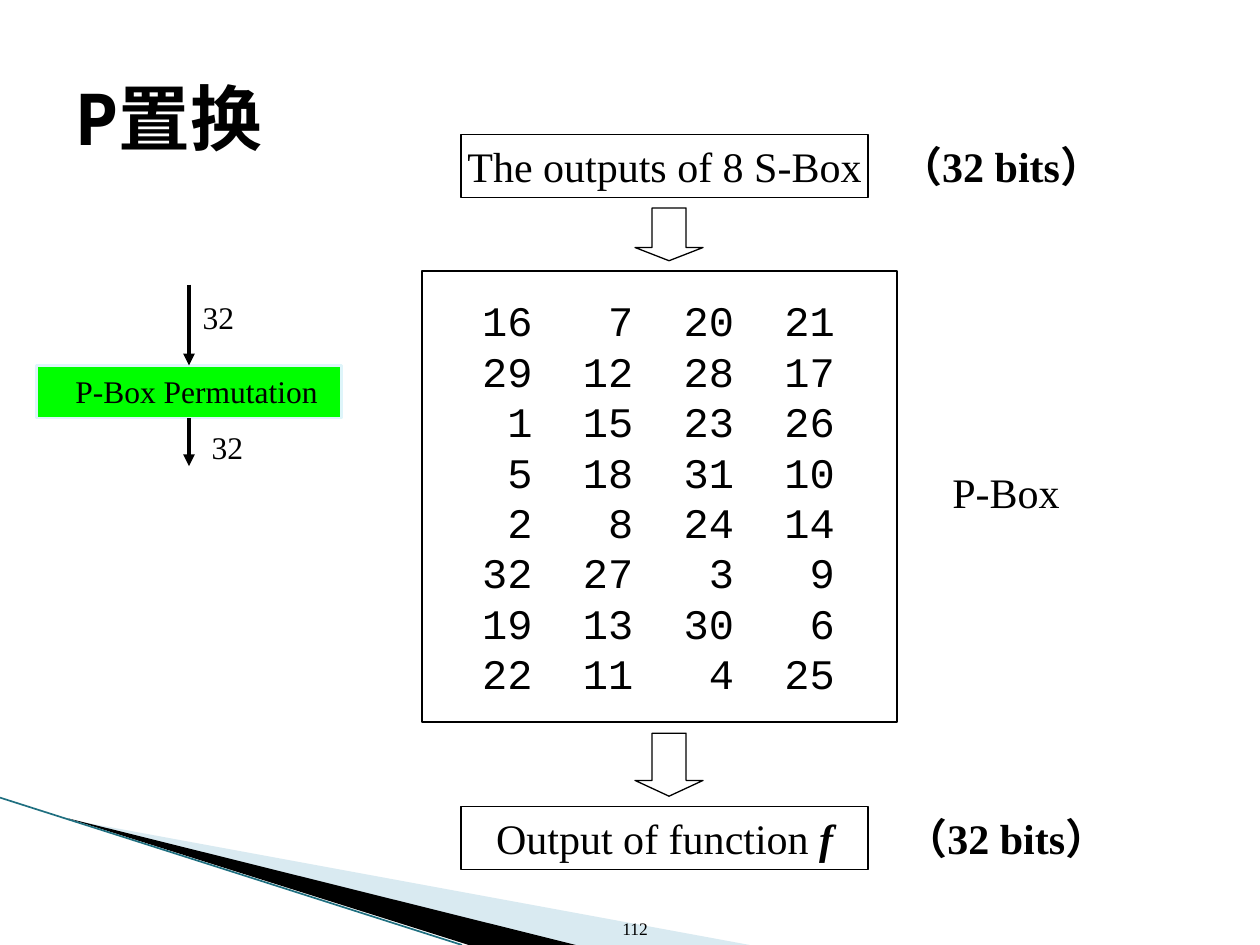
"""Builds the slide on the P-box permutation."""
from lxml import etree
from pptx import Presentation
from pptx.dml.color import RGBColor
from pptx.enum import shapes as kinds, text as modes
from pptx.oxml.ns import qn
from pptx.util import Pt

SERIF, MONO, TITLE = "Times New Roman", "Courier New", "Noto Sans Mono"
LEFT, MID, RIGHT = modes.PP_ALIGN.LEFT, modes.PP_ALIGN.CENTER, modes.PP_ALIGN.RIGHT
TOP, CENTRE, BASE = modes.MSO_ANCHOR.TOP, modes.MSO_ANCHOR.MIDDLE, modes.MSO_ANCHOR.BOTTOM
RECT, DOWN = kinds.MSO_SHAPE.RECTANGLE, kinds.MSO_SHAPE.DOWN_ARROW

GRID = [
    (16, 7, 20, 21), (29, 12, 28, 17), (1, 15, 23, 26), (5, 18, 31, 10),
    (2, 8, 24, 14), (32, 27, 3, 9), (19, 13, 30, 6), (22, 11, 4, 25),
]
TABS = [56 + 57.6 * col for col in range(4)]
WEDGES = [
    ([(39.6, 468.4), (428.4, 540), (328.3, 540)], "A0CBDC", 40),
    ([(38.2, 467.5), (329, 540), (267.8, 540)], "000000", 100),
]
STEPS = [
    ((263.5, 77, 232.6, 36), [("The outputs of 8 S-Box", False)]),
    ((263.5, 460.8, 232.6, 36), [("Output of function", False), (" f", True)]),
]
ARROWS = [(362.9, 118.8, 38.9, 30.2), (362.9, 419, 38.9, 36)]
BITS = [(506.9, 77, 130.3, 36), (509.8, 460.8, 130.3, 36)]
LABELS = [
    ("P-Box Permutation", (36, 208.8, 152.6, 28.8), 18),
    ("32", (108.7, 167, 32.4, 28.8), 18),
    ("32", (113.8, 241.2, 32.4, 28.8), 18),
    ("P-Box", (537.1, 262.8, 75.6, 36), 24),
]


def hue(code):
    return RGBColor.from_string(code)


def place(item, spot):
    item.left, item.top, item.width, item.height = map(Pt, spot)


def write(item, paras, size, font=SERIF, align=MID, anchor=CENTRE, wrap=False, tabs=()):
    frame = item.text_frame
    frame.word_wrap, frame.vertical_anchor = wrap, anchor
    frame.auto_size = modes.MSO_AUTO_SIZE.NONE
    for i, runs in enumerate(paras):
        para = frame.add_paragraph() if i else frame.paragraphs[0]
        para.alignment = align
        if tabs:
            stops = etree.SubElement(para._p.get_or_add_pPr(), qn("a:tabLst"))
            for stop in tabs:
                etree.SubElement(stops, qn("a:tab"), pos=str(Pt(stop)), algn="r")
        for words, bold, slant in runs:
            run = para.add_run()
            run.text = words
            run.font.name, run.font.size = font, Pt(size)
            run.font.bold, run.font.italic = bold, slant
            run.font.color.rgb = hue("000000")


def block(slide, kind, spot, fill="FFFFFF", line="000000", width=0.75):
    item = slide.shapes.add_shape(kind, *map(Pt, spot))
    item.shadow.inherit = False
    item.fill.solid()
    item.fill.fore_color.rgb = hue(fill)
    item.line.color.rgb, item.line.width = hue(line), Pt(width)
    return item


def label(slide, words, spot, size, bold=False, **style):
    item = slide.shapes.add_textbox(*map(Pt, spot))
    write(item, [[(words, bold, False)]], size, **style)


def wedge(slide, points, fill, alpha):
    (x, y), *rest = points
    pen = slide.shapes.build_freeform(Pt(x), Pt(y))
    pen.add_line_segments([(Pt(a), Pt(b)) for a, b in rest])
    item = pen.convert_to_shape()
    item.shadow.inherit = False
    item.line.fill.background()
    item.fill.solid()
    item.fill.fore_color.rgb = hue(fill)
    tint = item.fill._xPr.find(qn("a:solidFill"))[0]
    etree.SubElement(tint, qn("a:alpha"), val=str(alpha * 1000))


def link(slide, ends, color, width, head=False):
    item = slide.shapes.add_connector(kinds.MSO_CONNECTOR.STRAIGHT, *map(Pt, ends))
    item.line.color.rgb, item.line.width = hue(color), Pt(width)
    if head:
        etree.SubElement(item.line._get_or_add_ln(), qn("a:tailEnd"), type="triangle")
    etree.SubElement(item._element.spPr, qn("a:effectLst"))
    return item


def main():
    deck = Presentation()
    deck.slide_width, deck.slide_height = Pt(720), Pt(540)
    slide = deck.slides.add_slide(deck.slide_layouts[5])

    for points, fill, alpha in WEDGES:
        wedge(slide, points, fill, alpha)
    link(slide, (0, 455.8, 264, 540), "1F6F80", 0.95)
    label(slide, "112", (337, 504.7, 40.3, 35.3), 10, align=RIGHT, anchor=BASE, wrap=True)

    title = slide.shapes.title
    place(title, (36, 21.6, 648, 90))
    write(title, [[("P置换", True, False)]], 41, TITLE, LEFT, wrap=True)

    perm = block(slide, RECT, (20.9, 208.8, 174.2, 30.2), "00FF00", "DEF5FA", 1.5)
    link(slide, (108, 162.7, 108, 208.8), "000000", 2.25, True).end_connect(perm, 0)
    link(slide, (108, 239, 108, 266.4), "000000", 2.25, True).begin_connect(perm, 2)

    for spot, runs in STEPS:
        write(block(slide, RECT, spot), [[(words, em, em) for words, em in runs]], 24)
    rows = [[("".join(f"\t{n}" for n in row), False, False)] for row in GRID]
    table = block(slide, RECT, (241.2, 154.8, 271.4, 257.8))
    write(table, rows, 24, MONO, LEFT, wrap=True, tabs=TABS)
    for spot in ARROWS:
        arrow = block(slide, DOWN, spot)
        arrow.adjustments[0], arrow.adjustments[1] = 0.5, 0.25
    for spot in BITS:
        label(slide, "（32 bits）", spot, 24, True, anchor=TOP, wrap=True)
    for words, spot, size in LABELS:
        label(slide, words, spot, size, align=LEFT, anchor=TOP)
    deck.save("out.pptx")


if __name__ == "__main__":
    main()
